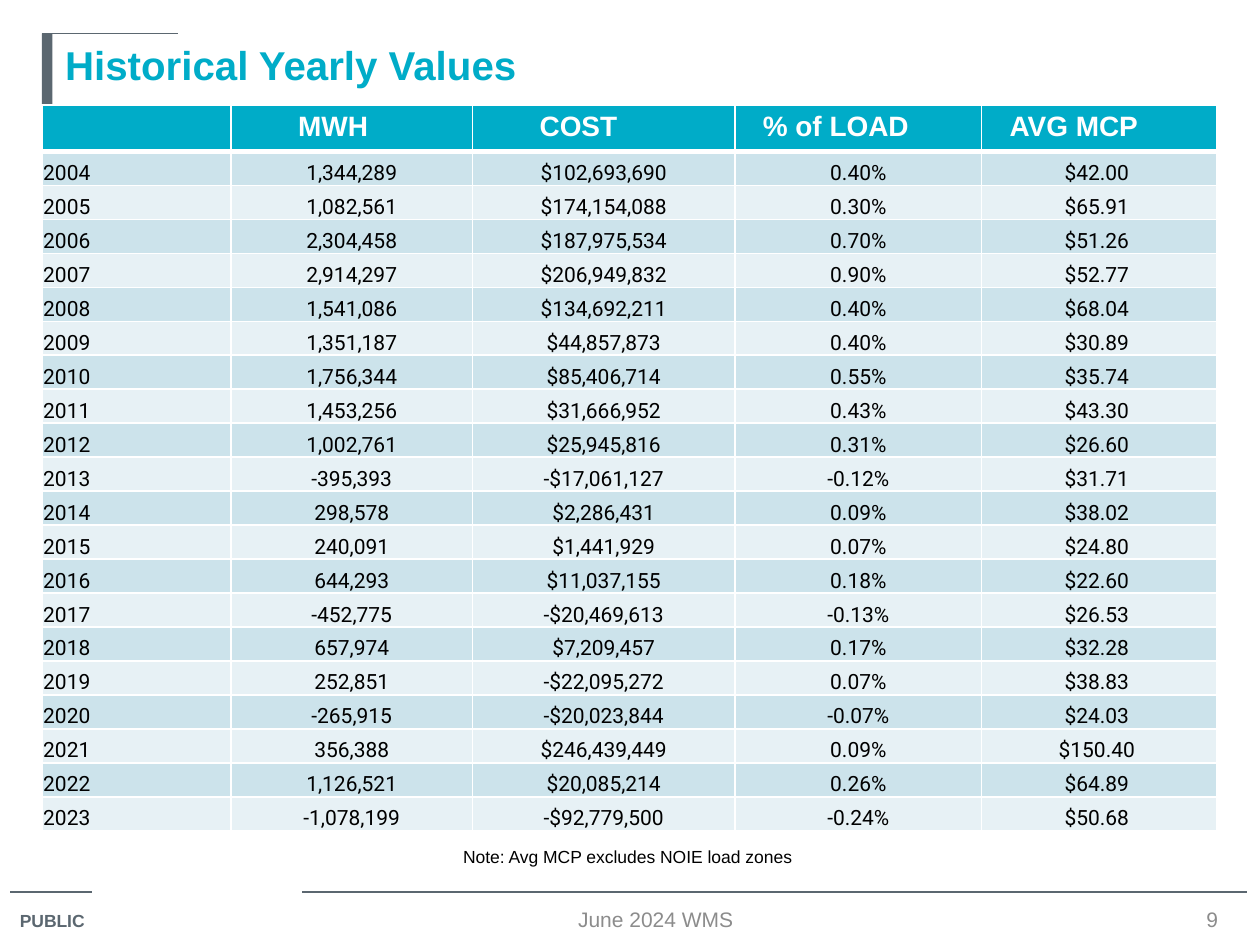
from collections import namedtuple
from dataclasses import dataclass

from lxml.etree import SubElement
from pptx import Presentation
from pptx.dml.color import RGBColor
from pptx.enum.shapes import MSO_CONNECTOR, MSO_SHAPE
from pptx.enum.text import MSO_ANCHOR, MSO_AUTO_SIZE, PP_ALIGN
from pptx.oxml.ns import qn
from pptx.util import Pt

Box = namedtuple("Box", "left top width height")


@dataclass(frozen=True)
class Theme:
    """Colours, fonts and type sizes of the slide."""
    accent: str = "00ACC8"
    slate: str = "5B6770"
    grey: str = "8C8C8C"
    black: str = "000000"
    white: str = "FFFFFF"
    bands: tuple = ("CCE3EB", "E7F1F5")
    heading_font: str = "Arial"
    figure_font: str = "Roboto"
    title_size: float = 23
    header_size: float = 16
    body_size: float = 12
    small_size: float = 10
    rule_width: float = 0.75
    grid_width: float = 1
    header_rule_width: float = 3


THEME = Theme()

HEADERS = ("", "MWH", "COST", "% of LOAD", "AVG MCP")
HEADER_INDENTS = (7.2, 38.4, 38.4, 16, 16)
COLUMN_WIDTHS = (108, 138, 150, 141, 134.5)
HEADER_HEIGHT = 26.5
YEARLY_VALUES = (
    ("2004", "1,344,289", "$102,693,690", "0.40%", "$42.00"),
    ("2005", "1,082,561", "$174,154,088", "0.30%", "$65.91"),
    ("2006", "2,304,458", "$187,975,534", "0.70%", "$51.26"),
    ("2007", "2,914,297", "$206,949,832", "0.90%", "$52.77"),
    ("2008", "1,541,086", "$134,692,211", "0.40%", "$68.04"),
    ("2009", "1,351,187", "$44,857,873", "0.40%", "$30.89"),
    ("2010", "1,756,344", "$85,406,714", "0.55%", "$35.74"),
    ("2011", "1,453,256", "$31,666,952", "0.43%", "$43.30"),
    ("2012", "1,002,761", "$25,945,816", "0.31%", "$26.60"),
    ("2013", "-395,393", "-$17,061,127", "-0.12%", "$31.71"),
    ("2014", "298,578", "$2,286,431", "0.09%", "$38.02"),
    ("2015", "240,091", "$1,441,929", "0.07%", "$24.80"),
    ("2016", "644,293", "$11,037,155", "0.18%", "$22.60"),
    ("2017", "-452,775", "-$20,469,613", "-0.13%", "$26.53"),
    ("2018", "657,974", "$7,209,457", "0.17%", "$32.28"),
    ("2019", "252,851", "-$22,095,272", "0.07%", "$38.83"),
    ("2020", "-265,915", "-$20,023,844", "-0.07%", "$24.03"),
    ("2021", "356,388", "$246,439,449", "0.09%", "$150.40"),
    ("2022", "1,126,521", "$20,085,214", "0.26%", "$64.89"),
    ("2023", "-1,078,199", "-$92,779,500", "-0.24%", "$50.68"),
)


def write(frame, wording, size, color, bold=False, font=THEME.heading_font,
          align=PP_ALIGN.LEFT):
    """Put one formatted paragraph into a text frame."""
    frame.text = wording
    paragraph = frame.paragraphs[0]
    paragraph.alignment = align
    paragraph.font.name = font
    paragraph.font.size = Pt(size)
    paragraph.font.bold = bold
    paragraph.font.color.rgb = RGBColor.from_string(color)


def add_rule(slide, left, top, width):
    """Draw a thin horizontal rule."""
    rule = slide.shapes.add_connector(
        MSO_CONNECTOR.STRAIGHT, Pt(left), Pt(top), Pt(left + width), Pt(top))
    rule.line.color.rgb = RGBColor.from_string(THEME.slate)
    rule.line.width = Pt(THEME.rule_width)
    SubElement(rule.element.spPr, qn("a:effectLst"))


def add_label(slide, box, wording, size, color, wrap=True,
              anchor=MSO_ANCHOR.TOP, **style):
    """Add a text box holding one paragraph."""
    frame = slide.shapes.add_textbox(*map(Pt, box)).text_frame
    frame.word_wrap = wrap
    frame.auto_size = MSO_AUTO_SIZE.NONE
    frame.vertical_anchor = anchor
    write(frame, wording, size, color, **style)


def add_heading(slide, box, wording):
    """Place the title with its side bar and top rule."""
    bar_width = 6
    bar = slide.shapes.add_shape(
        MSO_SHAPE.RECTANGLE, Pt(box.left), Pt(box.top), Pt(bar_width), Pt(box.height))
    bar.shadow.inherit = False
    bar.fill.solid()
    bar.fill.fore_color.rgb = RGBColor.from_string(THEME.slate)
    bar.line.fill.background()
    add_rule(slide, box.left, box.top, 78)
    title = slide.shapes.title
    title.left, title.top = Pt(box.left + bar_width), Pt(box.top)
    title.width, title.height = Pt(box.width - bar_width), Pt(box.height)
    title.text_frame.vertical_anchor = MSO_ANCHOR.TOP
    title.text_frame.auto_size = MSO_AUTO_SIZE.NONE
    write(title.text_frame, wording, THEME.title_size, THEME.accent, bold=True)


def style_cell(cell, color, top_width, bottom_width):
    """Give a cell its white borders and its fill."""
    widths = {"L": THEME.grid_width, "R": THEME.grid_width,
              "T": top_width, "B": bottom_width}
    properties = cell._tc.get_or_add_tcPr()
    for side, width in widths.items():
        border = SubElement(properties, qn(f"a:ln{side}"), w=str(Pt(width)))
        paint = SubElement(border, qn("a:solidFill"))
        SubElement(paint, qn("a:srgbClr"), val=THEME.white)
    cell.fill.solid()
    cell.fill.fore_color.rgb = RGBColor.from_string(color)


def add_yearly_table(slide, box):
    """Build the table of yearly values."""
    table = slide.shapes.add_table(
        len(YEARLY_VALUES) + 1, len(HEADERS), *map(Pt, box)).table
    table.horz_banding = False
    for column, width in zip(table.columns, COLUMN_WIDTHS):
        column.width = Pt(width)
    for row in table.rows:
        row.height = Pt((box.height - HEADER_HEIGHT) / len(YEARLY_VALUES))
    table.rows[0].height = Pt(HEADER_HEIGHT)

    for cell, header, indent in zip(table.rows[0].cells, HEADERS, HEADER_INDENTS):
        style_cell(cell, THEME.accent, THEME.grid_width, THEME.header_rule_width)
        cell.margin_left, cell.margin_bottom = Pt(indent), Pt(0)
        write(cell.text_frame, header, THEME.header_size, THEME.white, bold=True)

    last_column = len(HEADERS) - 1
    for index, values in enumerate(YEARLY_VALUES):
        top_width = THEME.grid_width if index else THEME.header_rule_width
        for column, value in enumerate(values):
            cell = table.cell(index + 1, column)
            style_cell(cell, THEME.bands[index % 2], top_width, THEME.grid_width)
            cell.vertical_anchor = MSO_ANCHOR.BOTTOM
            cell.margin_left = cell.margin_top = Pt(0.7)
            cell.margin_right = Pt(3.6 if column == last_column else 0.7)
            cell.margin_bottom = Pt(0)
            write(cell.text_frame, value, THEME.body_size, THEME.black,
                  font=THEME.figure_font,
                  align=PP_ALIGN.CENTER if column else PP_ALIGN.LEFT)


def add_footer(slide, box):
    """Place the footer rules, marking, meeting name and page number."""
    add_rule(slide, box.left, box.top, 47)
    add_rule(slide, box.left + 167, box.top, box.width - 167)
    add_label(slide, Box(box.left - 1.5, box.top + 6.5, 55.5, 20), "PUBLIC",
              THEME.small_size, THEME.slate, wrap=False, bold=True)
    for left, width, wording in ((210, 318, "June 2024 WMS"), (666, 42, "9")):
        add_label(slide, Box(box.left + left, box.top + 6.5, width, 18), wording,
                  THEME.body_size, THEME.grey, anchor=MSO_ANCHOR.MIDDLE,
                  align=PP_ALIGN.CENTER)


def main():
    """Build the slide and save it."""
    deck = Presentation()
    deck.slide_width, deck.slide_height = Pt(720), Pt(540)
    slide = deck.slides.add_slide(deck.slide_layouts[5])
    add_heading(slide, Box(24, 19.25, 672, 41), "Historical Yearly Values")
    add_yearly_table(slide, Box(24, 60, sum(COLUMN_WIDTHS), 415))
    add_footer(slide, Box(5.75, 509.75, 707, 30))
    add_label(slide, Box(257.5, 480, 212.5, 19.5),
              "Note: Avg MCP excludes NOIE load zones",
              THEME.small_size, THEME.black, wrap=False)
    deck.save("out.pptx")


if __name__ == "__main__":
    main()
